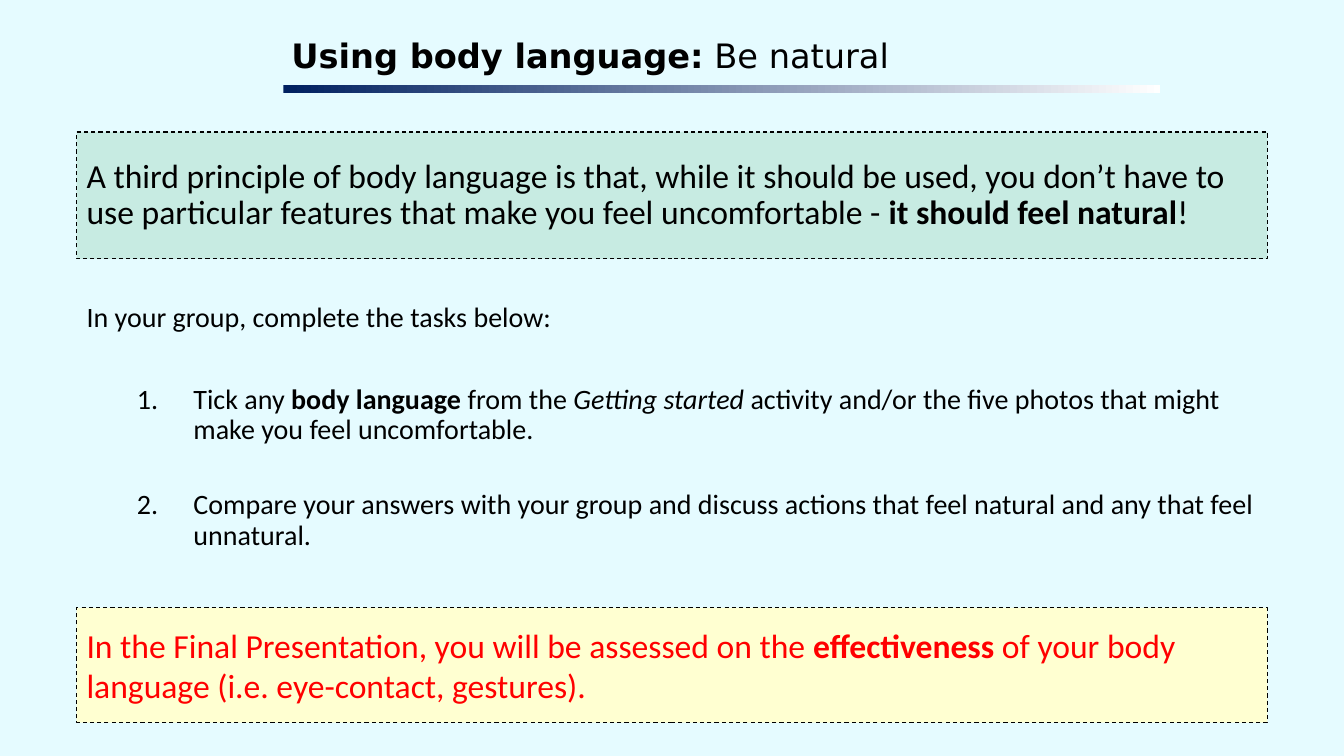
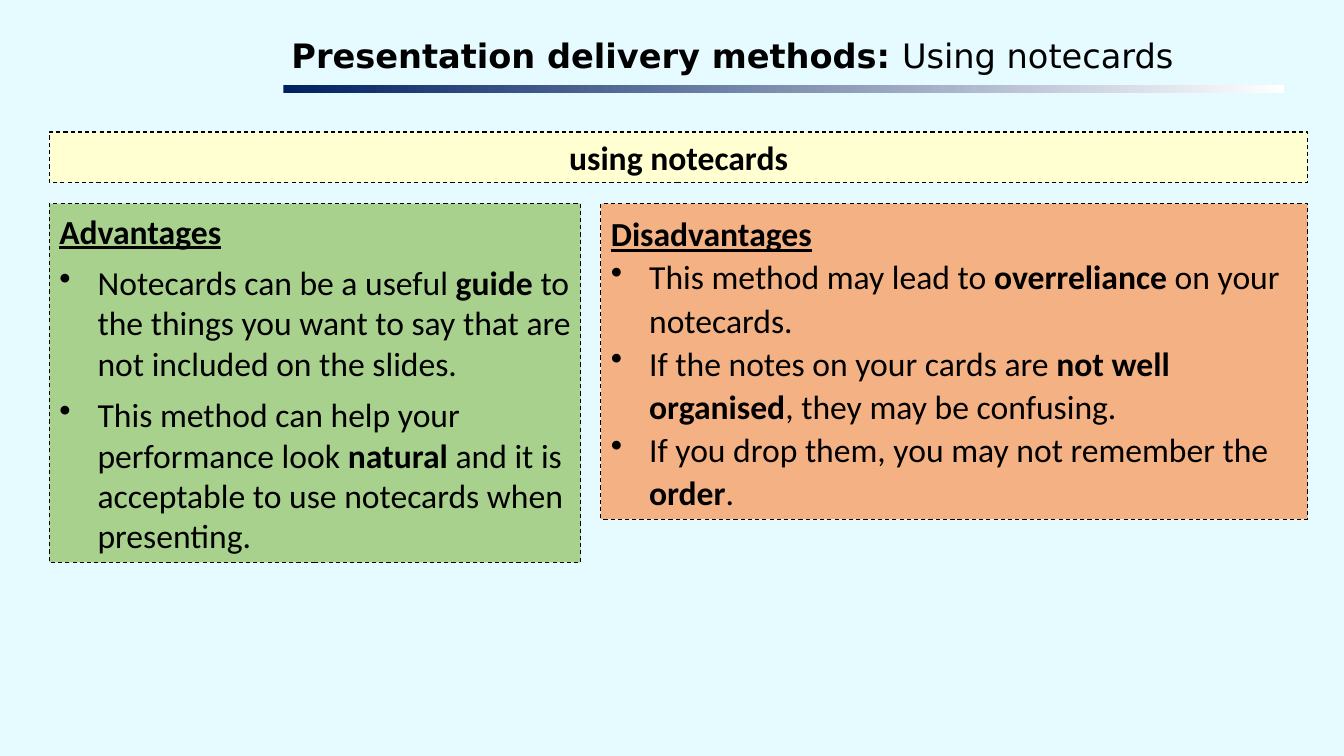
"""Build two slides on body language and using notecards in presentations."""
from pptx import Presentation
from pptx.dml.color import RGBColor
from pptx.enum.dml import MSO_LINE
from pptx.enum.shapes import MSO_SHAPE
from pptx.enum.text import MSO_ANCHOR, MSO_AUTO_SIZE, PP_ALIGN
from pptx.oxml.xmlchemy import OxmlElement
from pptx.util import Inches, Pt

SKY = RGBColor(0xE5, 0xFB, 0xFF)
NAVY = RGBColor(0x00, 0x20, 0x60)
WHITE = RGBColor(0xFF, 0xFF, 0xFF)
BLACK = RGBColor(0x00, 0x00, 0x00)
RED = RGBColor(0xFF, 0x00, 0x00)
MINT = RGBColor(0xC7, 0xEB, 0xE2)
CREAM = RGBColor(0xFF, 0xFF, 0xD1)
GREEN = RGBColor(0xA9, 0xD1, 0x8E)
ORANGE = RGBColor(0xF4, 0xB1, 0x83)
BODY_FONT, TITLE_FONT = "Calibri", "DejaVu Sans"

PRINCIPLE = [[
    ("A third principle of body language is that, while it should be used, you don’t have to "
     "use particular features that make you feel uncomfortable - ", ""),
    ("it should feel natural", "b"), ("!", "")]]
INTRO = [("In your group, complete the tasks below:", "")]
TASKS = [
    [("Tick any ", ""), ("body language ", "b"), ("from the ", ""), ("Getting started", "i"),
     (" activity and/or the five photos that might make you feel uncomfortable.", "")],
    [("Compare your answers with your group and discuss actions that feel natural "
      "and any that feel unnatural.", "")],
]
TASK_GAPS = [37, 32]
ASSESSMENT = [[
    ("In the Final Presentation, you will be assessed on the ", ""), ("effectiveness", "b"),
    (" of your body language (i.e. eye-contact, gestures).", "")]]

METHOD = [[("using notecards", "b")]]
ADVANTAGES = [
    [("Advantages", "bu")],
    [("Notecards can be a useful ", ""), ("guide", "b"),
     (" to the things you want to say that are not included on the slides.", "")],
    [("This method can help your performance look ", ""), ("natural ", "b"),
     ("and it is acceptable to use notecards when presenting.", "")],
]
DISADVANTAGES = [
    [("Disadvantages", "bu")],
    [("This method may lead to ", ""), ("overreliance", "b"), (" on your notecards.", "")],
    [("If the notes on your cards are ", ""), ("not well organised", "b"),
     (", they may be confusing.", "")],
    [("If you drop them, you may not remember the ", ""), ("order", "b"), (".", "")],
]
COLUMNS = [
    (ADVANTAGES, GREEN, 5.27, 3.56, {"after": 8}),
    (DISADVANTAGES, ORANGE, 7.01, 3.13, {"spacing": 1.07}),
]


def write_paragraphs(tf, paragraphs, size=24, color=BLACK, font=BODY_FONT,
                     align=PP_ALIGN.LEFT, spacing=1.0, after=0):
    tf.word_wrap = True
    for i, runs in enumerate(paragraphs):
        p = tf.paragraphs[0] if i == 0 else tf.add_paragraph()
        p.alignment = align
        p.line_spacing = spacing
        p.space_after = Pt(after)
        for text, style in runs:
            r = p.add_run()
            r.text = text
            r.font.name, r.font.size = font, Pt(size)
            r.font.color.rgb = color
            r.font.bold = "b" in style
            r.font.italic = "i" in style
            r.font.underline = "u" in style


def add_marker(p, tag, key, value, left, hang):
    pPr = p._p.get_or_add_pPr()
    pPr.set("marL", str(Inches(left)))
    pPr.set("indent", str(-Inches(hang)))
    marker = OxmlElement(tag)
    marker.set(key, value)
    pPr.append(marker)


def add_slide(prs, topic, detail, bar_width):
    s = prs.slides.add_slide(prs.slide_layouts[6])
    header = s.shapes.add_group_shape().shapes
    title = header.add_textbox(Inches(2.85), Inches(0.31), Inches(bar_width - 0.04), Inches(0.53))
    tf = title.text_frame
    tf.margin_left = tf.margin_right = tf.margin_top = tf.margin_bottom = Inches(0.04)
    write_paragraphs(tf, [[(topic, "b"), (detail, "")]], font=TITLE_FONT)
    bar = header.add_shape(MSO_SHAPE.RECTANGLE, Inches(2.81), Inches(0.84),
                           Inches(bar_width), Inches(0.08))
    bar.shadow.inherit = False
    bar.line.fill.background()
    bar.fill.gradient()
    bar.fill.gradient_angle = 0
    for stop, color in zip(bar.fill.gradient_stops, (NAVY, WHITE)):
        stop.color.rgb = color
    return s


def add_panel(s, left, top, width, height, fill, paragraphs, grow=False, **style):
    sp = s.shapes.add_shape(MSO_SHAPE.RECTANGLE, Inches(left), Inches(top),
                            Inches(width), Inches(height))
    sp.shadow.inherit = False
    sp.fill.solid()
    sp.fill.fore_color.rgb = fill
    sp.line.color.rgb = BLACK
    sp.line.width = Pt(0.75)
    sp.line.dash_style = MSO_LINE.DASH
    tf = sp.text_frame
    tf.vertical_anchor = MSO_ANCHOR.MIDDLE
    if grow:
        tf.auto_size = MSO_AUTO_SIZE.SHAPE_TO_FIT_TEXT
    write_paragraphs(tf, paragraphs, **style)
    return tf


def build_natural_slide(prs):
    left, width = 0.76, 11.81
    s = add_slide(prs, "Using body language:", " Be natural", 8.7)
    add_panel(s, left, 1.31, width, 1.26, MINT, PRINCIPLE, spacing=0.9)
    tasks = s.shapes.add_textbox(Inches(left), Inches(2.96), Inches(width), Inches(2.9))
    tf = tasks.text_frame
    write_paragraphs(tf, [INTRO] + TASKS, size=20, spacing=0.9)
    for p, gap in zip(tf.paragraphs[1:], TASK_GAPS):
        p.space_before = Pt(gap)
        add_marker(p, "a:buAutoNum", "type", "arabicPeriod", 1.06, 0.56)
    add_panel(s, left, 6.03, width, 1.14, CREAM, ASSESSMENT, color=RED)


def build_notecards_slide(prs):
    left, width, gap = 0.49, 12.48, 0.2
    s = add_slide(prs, "Presentation delivery methods: ", "Using notecards", 9.93)
    add_panel(s, left, 1.31, width, 0.5, CREAM, METHOD, grow=True, align=PP_ALIGN.CENTER)
    for paragraphs, fill, column_width, height, style in COLUMNS:
        tf = add_panel(s, left, 2.02, column_width, height, fill, paragraphs, grow=True, **style)
        for p in tf.paragraphs[1:]:
            add_marker(p, "a:buChar", "char", "•", 0.38, 0.38)
        left += column_width + gap


def main():
    prs = Presentation()
    prs.slide_width, prs.slide_height = Inches(13.33), Inches(7.5)
    background = prs.slide_master.background.fill
    background.solid()
    background.fore_color.rgb = SKY
    build_natural_slide(prs)
    build_notecards_slide(prs)
    prs.save("out.pptx")


if __name__ == "__main__":
    main()
